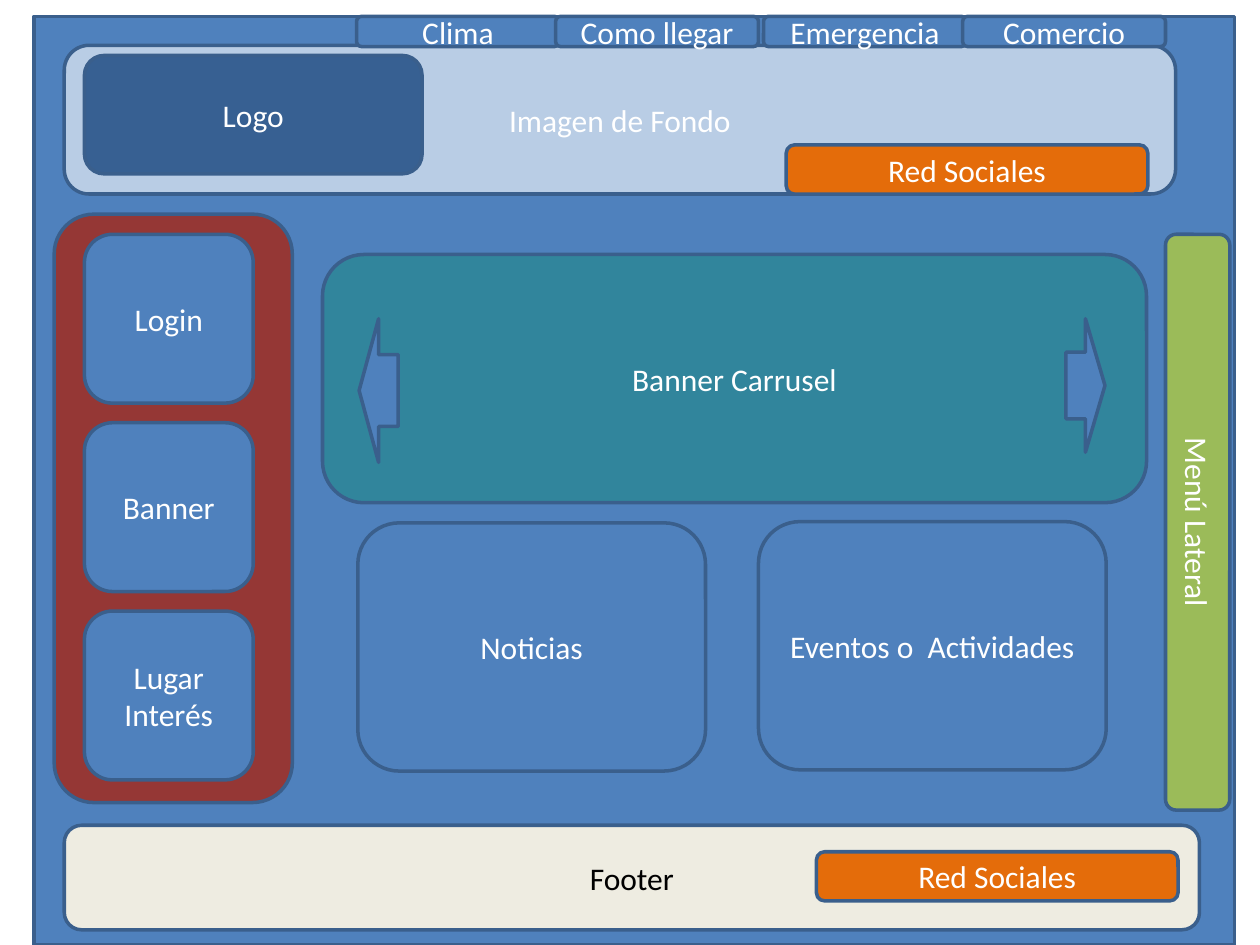
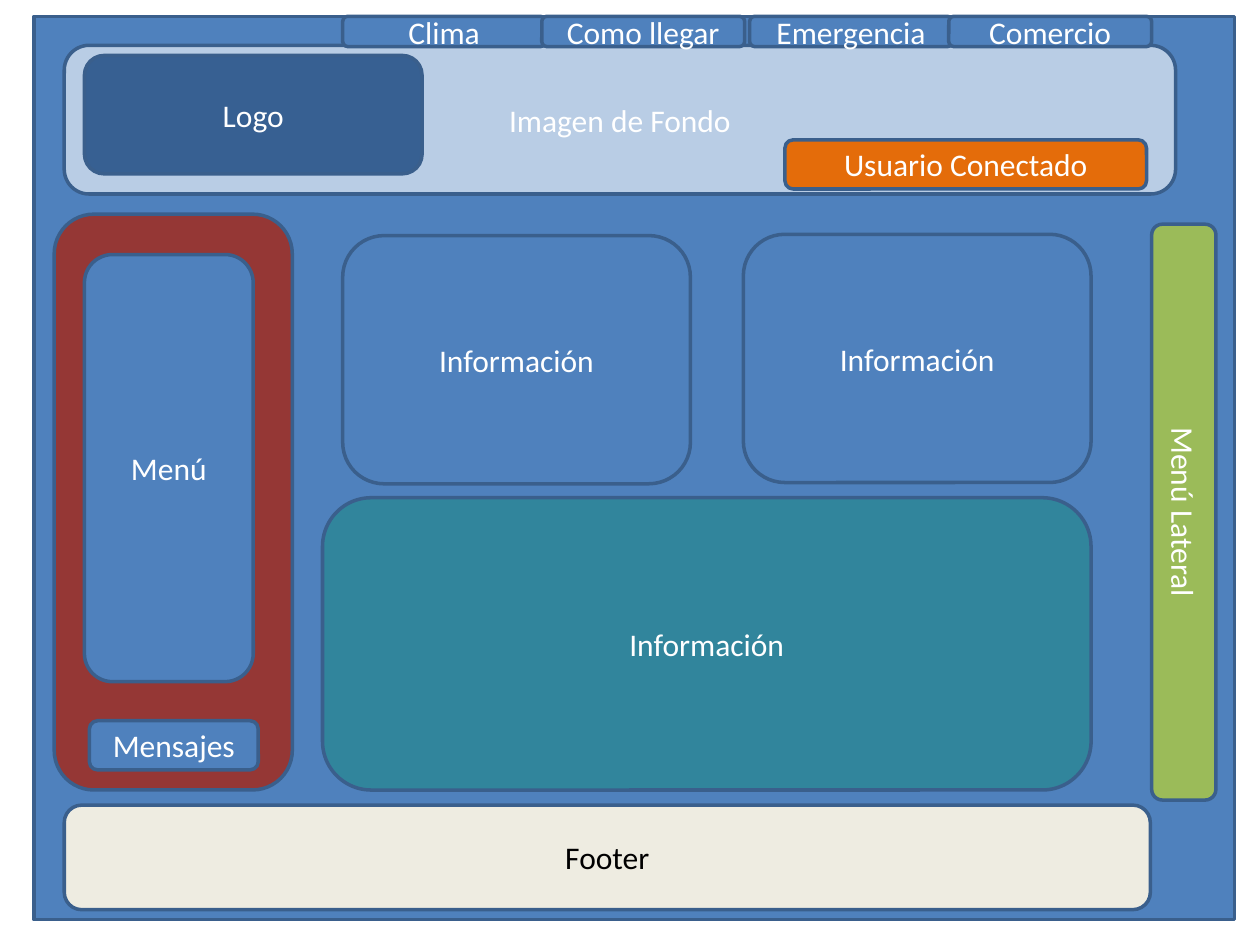
"""Builds two wireframes of a web portal: the home page and the user page."""
import pptx
import pptx.dml.color
import pptx.enum.shapes
import pptx.enum.text
import pptx.util

Inches = pptx.util.Inches
SHAPES = pptx.enum.shapes.MSO_SHAPE

BLUE = "4F81BD"
OUTLINE = "3A5F8C"
PALE_BLUE = "B9CDE5"
DARK_BLUE = "376092"
RED = "953735"
TEAL = "31859C"
GREEN = "9BBB59"
ORANGE = "E46C0A"
CREAM = "EEECE1"
WHITE = "FFFFFF"
BLACK = "000000"

FONT = "Calibri"
TAB_LABELS = ("Clima", "Como llegar", "Emergencia", "Comercio")
TAB_OFFSETS = (0, 1.58, 3.23, 4.81)
CARD_SIZE = (2.76, 1.97)
BUTTON_SIZE = (2.87, 0.39)
SIDE_ITEM_WIDTH = 1.34


def color(hex_code):
    """Turn a hex string into a colour."""
    return pptx.dml.color.RGBColor.from_string(hex_code)


def add_block(slide, left, top, width, height, label="", fill=BLUE,
              text_color=WHITE, kind=SHAPES.ROUNDED_RECTANGLE):
    """Add an outlined block with an optional centred label."""
    block = slide.shapes.add_shape(
        kind, Inches(left), Inches(top), Inches(width), Inches(height))
    block.shadow.inherit = False
    block.fill.solid()
    block.fill.fore_color.rgb = color(fill)
    block.line.color.rgb = color(OUTLINE)
    block.line.width = pptx.util.Pt(2)
    if label:
        frame = block.text_frame
        frame.text = label
        frame.word_wrap = True
        frame.vertical_anchor = pptx.enum.text.MSO_ANCHOR.MIDDLE
        paragraph = frame.paragraphs[0]
        paragraph.alignment = pptx.enum.text.PP_ALIGN.CENTER
        font = paragraph.runs[0].font
        font.name = FONT
        font.size = pptx.util.Pt(18)
        font.color.rgb = color(text_color)
    return block


def add_page(deck, height, sidebar_height):
    """Add a slide with the page area, header, logo and left sidebar."""
    slide = deck.slides.add_slide(deck.slide_layouts[6])
    add_block(slide, 0.27, 0.13, 9.53, height, kind=SHAPES.RECTANGLE)
    add_block(slide, 0.51, 0.36, 8.82, 1.18, "Imagen de Fondo", PALE_BLUE)
    add_block(slide, 0.67, 0.44, 2.68, 0.94, "Logo", DARK_BLUE)
    add_block(slide, 0.43, 1.7, 1.89, sidebar_height, fill=RED)
    return slide


def add_tabs(slide, left):
    """Add the row of tabs above the header."""
    for label, offset in zip(TAB_LABELS, TAB_OFFSETS):
        add_block(slide, left + offset, 0.13, 1.61, 0.24, label)


def add_cards(slide, left, top, labels):
    """Add two content cards side by side, the second slightly higher."""
    for index, label in enumerate(labels):
        add_block(slide, left + 3.18 * index, top - 0.01 * index,
                  *CARD_SIZE, label)


def add_button(slide, left, top, label):
    """Add an orange button."""
    add_block(slide, left, top, *BUTTON_SIZE, label, ORANGE)


def add_side_menu(slide, left, top):
    """Add the green menu, turned a quarter to run down the right edge."""
    menu = add_block(slide, left, top, 4.57, 0.51, "Menú Lateral", GREEN)
    menu.rotation = 90


def add_footer(slide, top, width):
    """Add the footer band."""
    add_block(slide, 0.51, top, width, 0.83, "Footer", CREAM, BLACK)


def build_home_page(deck):
    """Build the public home page with its carousel."""
    slide = add_page(deck, 7.37, 4.67)
    add_block(slide, 2.56, 2.02, 6.54, 1.97, "Banner Carrusel", TEAL)
    for index, label in enumerate(("Login", "Banner", "Lugar Interés")):
        add_block(slide, 0.67, 1.86 + 1.495 * index,
                  SIDE_ITEM_WIDTH, SIDE_ITEM_WIDTH, label)
    add_tabs(slide, 2.83)
    add_cards(slide, 2.84, 4.15, ("Noticias", "Eventos o  Actividades"))
    add_side_menu(slide, 7.22, 3.89)
    add_button(slide, 6.24, 1.15, "Red Sociales")
    add_footer(slide, 6.55, 9.01)
    add_button(slide, 6.48, 6.76, "Red Sociales")
    add_block(slide, 8.46, 2.53, 0.31, 1.06, kind=SHAPES.RIGHT_ARROW)
    add_block(slide, 2.85, 2.53, 0.31, 1.14, kind=SHAPES.LEFT_ARROW)


def build_user_page(deck):
    """Build the page of a connected user."""
    slide = add_page(deck, 7.17, 4.57)
    add_block(slide, 2.56, 3.95, 6.1, 2.32, "Información", TEAL)
    add_block(slide, 0.71, 5.72, SIDE_ITEM_WIDTH, 0.39, "Mensajes")
    add_tabs(slide, 2.72)
    add_cards(slide, 2.72, 1.87, ("Información", "Información"))
    add_side_menu(slide, 7.11, 3.81)
    add_button(slide, 6.23, 1.11, "Usuario Conectado")
    add_footer(slide, 6.39, 8.62)
    add_block(slide, 0.67, 2.02, SIDE_ITEM_WIDTH, 3.39, "Menú")


def main():
    """Build both pages and save the presentation."""
    deck = pptx.Presentation()
    deck.slide_width = Inches(10)
    deck.slide_height = Inches(7.5)
    build_home_page(deck)
    build_user_page(deck)
    deck.save("out.pptx")


main()
